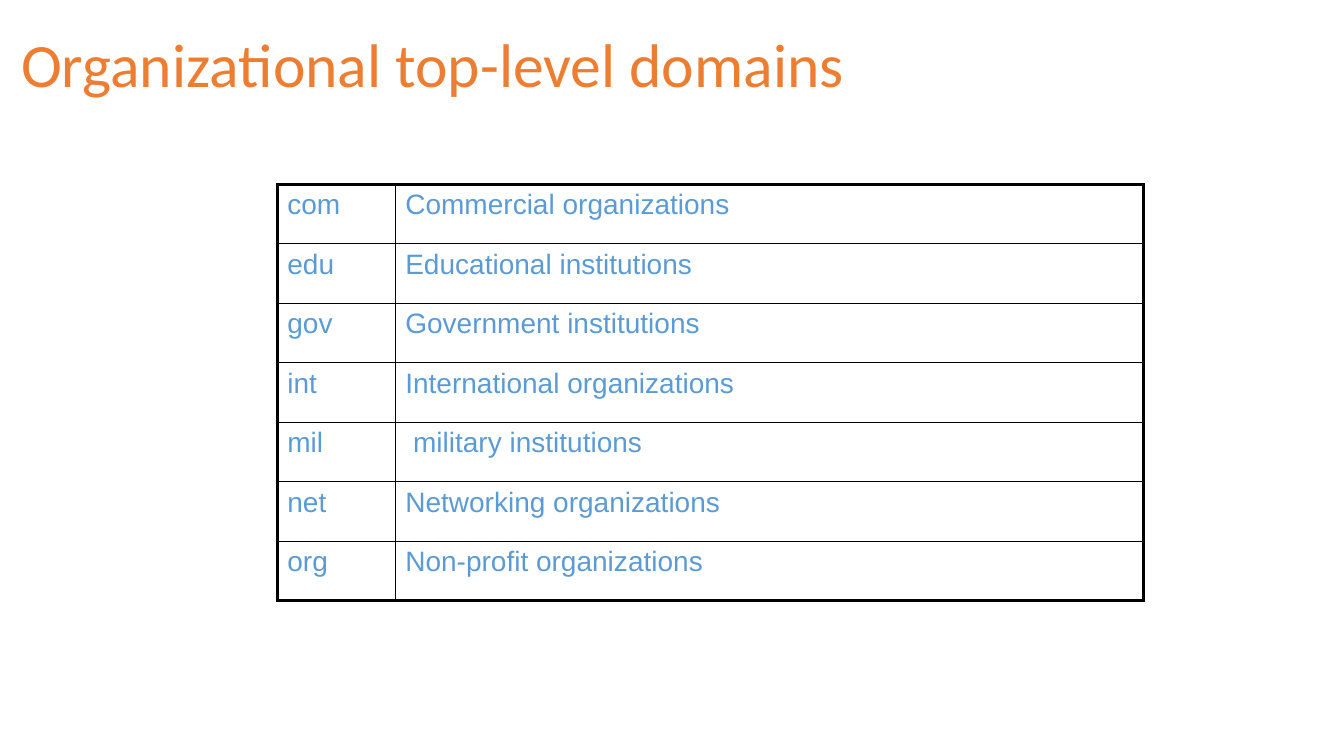
from pptx import Presentation
from pptx.dml.color import RGBColor
from pptx.enum.text import MSO_ANCHOR, MSO_AUTO_SIZE, PP_ALIGN
from pptx.oxml import parse_xml
from pptx.oxml.ns import nsdecls
from pptx.util import Inches, Pt

COLORS = {"title": "ED7D31", "cell": "5B9BD5", "border": "000000"}
THIN, THICK = 1, 2.25
DOMAINS = [
    ("com", "Commercial organizations"),
    ("edu", "Educational institutions"),
    ("gov", "Government institutions"),
    ("int", "International organizations"),
    ("mil", " military institutions"),
    ("net", "Networking organizations"),
    ("org", "Non-profit organizations"),
]


def write_text(text_frame, text, *, font, size, color, line_spacing=1.0):
    """Write one left-aligned paragraph with the given format."""
    paragraph = text_frame.paragraphs[0]
    paragraph.alignment = PP_ALIGN.LEFT
    paragraph.line_spacing = line_spacing
    paragraph.space_before = Pt(0)
    run = paragraph.add_run()
    run.text = text
    run.font.name = font
    run.font.size = Pt(size)
    run.font.color.rgb = RGBColor.from_string(COLORS[color])


def set_borders(cell, widths):
    """Draw the cell borders from widths in points by side."""
    properties = cell._tc.get_or_add_tcPr()
    for index, side in enumerate("LRTB"):
        properties.insert(index, parse_xml(
            f'<a:ln{side} {nsdecls("a")} w="{Pt(widths[side])}"><a:solidFill>'
            f'<a:srgbClr val="{COLORS["border"]}"/></a:solidFill></a:ln{side}>'))


class SlideBuilder:
    """Hold the text style and the current slide."""

    def __init__(self, presentation):
        """Add a title-only slide to the presentation."""
        self.slide = presentation.slides.add_slide(presentation.slide_layouts[5])
        self.title_style = dict(font="Calibri", size=44, color="title", line_spacing=0.9)
        self.cell_style = dict(font="Arial", size=20, color="cell")

    def add_title(self, text, left, top, width, height):
        """Place and fill the title placeholder."""
        title = self.slide.shapes.title
        title.left, title.top = Inches(left), Inches(top)
        title.width, title.height = Inches(width), Inches(height)
        title.text_frame.auto_size = MSO_AUTO_SIZE.NONE
        title.text_frame.word_wrap = True
        title.text_frame.vertical_anchor = MSO_ANCHOR.MIDDLE
        write_text(title.text_frame, text, **self.title_style)

    def add_table(self, rows, left, top, column_widths, row_height):
        """Add an unfilled table with a thick frame and thin inner lines."""
        row_count, column_count = len(rows), len(column_widths)
        table = self.slide.shapes.add_table(
            row_count, column_count, Inches(left), Inches(top),
            Inches(sum(column_widths)), Inches(row_height * row_count)).table
        table.first_row = table.horz_banding = False
        for column, width in zip(table.columns, column_widths):
            column.width = Inches(width)
        for row_index, texts in enumerate(rows):
            table.rows[row_index].height = Inches(row_height)
            for column_index, text in enumerate(texts):
                cell = table.cell(row_index, column_index)
                cell.fill.background()
                write_text(cell.text_frame, text, **self.cell_style)
                outer = {
                    "L": column_index == 0,
                    "R": column_index == column_count - 1,
                    "T": row_index == 0,
                    "B": row_index == row_count - 1,
                }
                set_borders(cell, {side: THICK if edge else THIN
                                   for side, edge in outer.items()})


def main():
    """Build the slide and save it."""
    presentation = Presentation()
    presentation.slide_width, presentation.slide_height = Inches(13.33), Inches(7.5)
    builder = SlideBuilder(presentation)
    builder.add_title("Organizational top-level domains", 0.11, 0.17, 13.11, 1)
    builder.add_table(DOMAINS, 2.75, 1.83, (1.17, 7.42), 0.59)
    presentation.save("out.pptx")


if __name__ == "__main__":
    main()
